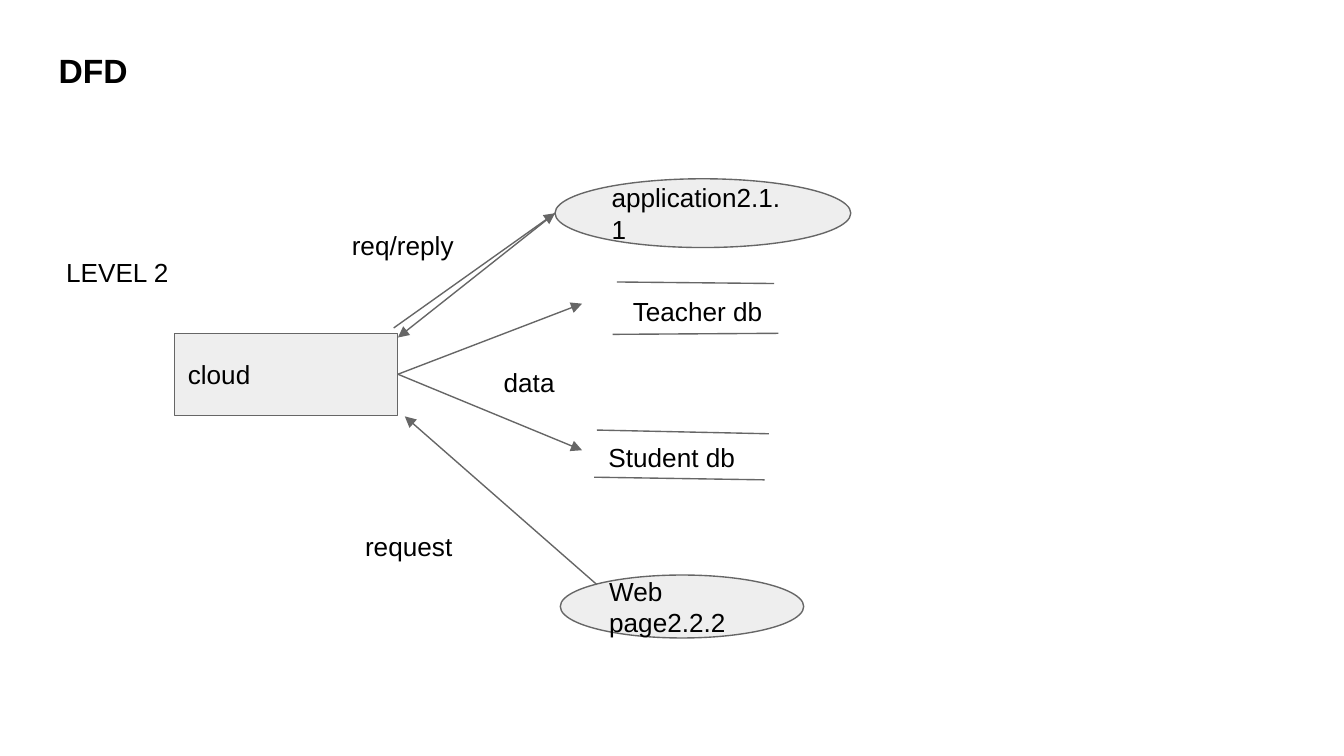
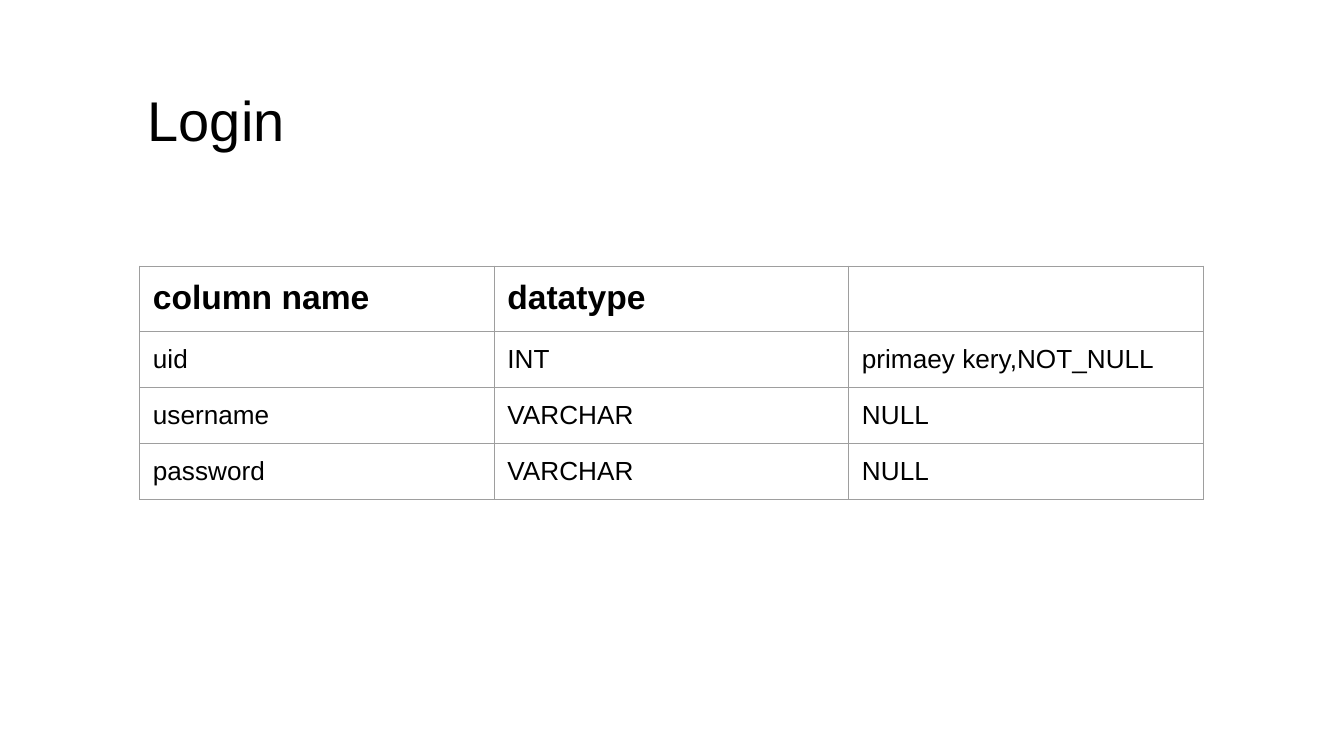
from lxml.etree import SubElement
from pptx import Presentation
from pptx.dml.color import RGBColor
from pptx.enum.shapes import MSO_CONNECTOR as CONNECTOR, MSO_SHAPE as SHAPE
from pptx.enum.text import MSO_ANCHOR as ANCHOR, MSO_AUTO_SIZE as AUTO_SIZE, PP_ALIGN as ALIGN
from pptx.oxml import parse_xml
from pptx.oxml.ns import nsdecls, qn
from pptx.util import Cm, Pt

COLORS = {"text": "000000", "node": "EEEEEE", "line": "666666", "grid": "9E9E9E"}
LINE_WIDTH = Pt(0.75)
INSET = Cm(0.25)
LABEL_HEIGHT = 0.58
TITLE_ONLY = 5

BODY_FONT = {"name": "Arial", "size": Pt(14), "bold": False}
HEADING_FONT = {**BODY_FONT, "size": Pt(18), "bold": True}
LARGE_TITLE_FONT = {**BODY_FONT, "size": Pt(30)}
MARGINS = dict.fromkeys(("margin_left", "margin_top", "margin_right", "margin_bottom"), INSET)
FRAME = {**MARGINS, "word_wrap": True, "auto_size": AUTO_SIZE.NONE}


def color(key):
    return RGBColor.from_string(COLORS[key])


def apply_format(target, values):
    for attribute, value in values.items():
        setattr(target, attribute, value)


def write(frame, text, font=BODY_FONT, anchor=ANCHOR.TOP):
    apply_format(frame, {**FRAME, "vertical_anchor": anchor})
    write_paragraph(frame, text, font)


def write_paragraph(frame, text, font):
    paragraph = frame.paragraphs[0]
    paragraph.text = text
    apply_format(paragraph, {"alignment": ALIGN.LEFT, "space_before": Pt(0)})
    apply_format(paragraph.font, font)
    paragraph.font.color.rgb = color("text")


def style_line(line):
    line.color.rgb = color("line")
    line.width = LINE_WIDTH


def add_titled_slide(prs, text, box, font):
    slide = prs.slides.add_slide(prs.slide_layouts[TITLE_ONLY])
    title = slide.shapes.title
    apply_format(title, dict(zip(("left", "top", "width", "height"), map(Cm, box))))
    write(title.text_frame, text, font)
    return slide


def add_node(slide, origin, kind, box, text):
    left, top, width, height = box
    node = slide.shapes.add_shape(
        kind, Cm(origin[0] + left), Cm(origin[1] + top), Cm(width), Cm(height))
    node.shadow.inherit = False
    node.fill.solid()
    node.fill.fore_color.rgb = color("node")
    style_line(node.line)
    write(node.text_frame, text, anchor=ANCHOR.MIDDLE)


def add_label(slide, origin, left, top, width, text):
    label = slide.shapes.add_textbox(
        Cm(origin[0] + left), Cm(origin[1] + top), Cm(width), Cm(LABEL_HEIGHT))
    write(label.text_frame, text)


def add_line(slide, origin, start, end, arrow=False):
    x, y = origin
    connector = slide.shapes.add_connector(
        CONNECTOR.STRAIGHT, Cm(x + start[0]), Cm(y + start[1]), Cm(x + end[0]), Cm(y + end[1]))
    style_line(connector.line)
    properties = connector._element.spPr
    if arrow:
        SubElement(properties.find(qn("a:ln")), qn("a:tailEnd"), type="triangle")
    SubElement(properties, qn("a:effectLst"))


def add_data_flow(slide, origin):
    """Place the level 2 diagram with its top left corner at origin, in cm."""
    cloud = (2.3, 2.92, 4.22, 1.55)
    application = (9.49, 0, 5.59, 1.3)
    web_page = (9.59, 7.49, 4.6, 1.19)
    cloud_right = (cloud[0] + cloud[2], cloud[1] + cloud[3] / 2)
    application_left = (application[0], application[3] / 2)

    for kind, box, text in (
        (SHAPE.RECTANGLE, cloud, "cloud"),
        (SHAPE.OVAL, web_page, "Web page2.2.2"),
        (SHAPE.OVAL, application, "application2.1.1"),
    ):
        add_node(slide, origin, kind, box, text)

    store_rules = (
        ((10.66, 1.95), (13.63, 1.98)),
        ((10.58, 2.94), (13.71, 2.92)),
        ((10.28, 4.75), (13.53, 4.82)),
        ((10.23, 5.64), (13.45, 5.69)),
    )
    for start, end in store_rules:
        add_line(slide, origin, start, end)

    flows = (
        (cloud_right, (10, 2.36)),
        (cloud_right, (10, 5.13)),
        ((6.44, 2.82), application_left),
        (application_left, (6.52, 3)),
        ((10.28, 7.67), (6.65, 4.49)),
    )
    for start, end in flows:
        add_line(slide, origin, start, end, arrow=True)

    for label in (
        (0, 1.22, 3.2, "LEVEL 2"),
        (5.4, 0.71, 2.59, "req/reply"),
        (8.27, 3.3, 1.96, "data"),
        (5.65, 6.4, 2.59, "request"),
        (10.71, 1.95, 3.78, "Teacher db"),
        (10.25, 4.72, 3.78, "Student db"),
    ):
        add_label(slide, origin, *label)


def add_cell_borders(cell):
    properties = cell._tc.get_or_add_tcPr()
    for position, side in enumerate(("lnL", "lnR", "lnT", "lnB")):
        properties.insert(position, parse_xml(
            f'<a:{side} {nsdecls("a")} w="{LINE_WIDTH}"><a:solidFill>'
            f'<a:srgbClr val="{COLORS["grid"]}"/></a:solidFill></a:{side}>'))


def add_schema_table(slide, left, top, column_width, rows):
    heights = [1.23] + [1.06] * (len(rows) - 1)
    columns = len(rows[0])
    table = slide.shapes.add_table(
        len(rows), columns, Cm(left), Cm(top),
        Cm(column_width * columns), Cm(sum(heights))).table
    apply_format(table, {"first_row": False, "horz_banding": False})
    for column in table.columns:
        column.width = Cm(column_width)
    for index, (row, height, values) in enumerate(zip(table.rows, heights, rows)):
        row.height = Cm(height)
        for cell, text in zip(row.cells, values):
            apply_format(cell, MARGINS)
            cell.fill.background()
            write_paragraph(cell.text_frame, text, BODY_FONT if index else HEADING_FONT)
            add_cell_borders(cell)


def main():
    prs = Presentation()
    prs.slide_width, prs.slide_height = Cm(25.4), Cm(14.29)

    dfd = add_titled_slide(prs, "DFD", (0.86, 0.69, 5.79, 1.04), HEADING_FONT)
    add_data_flow(dfd, (1, 3.38))

    login = add_titled_slide(prs, "Login", (2.54, 1.37, 20.32, 2.36), LARGE_TITLE_FONT)
    add_schema_table(login, 2.64, 5.03, 6.7, (
        ("column name", "datatype", ""),
        ("uid", "INT", "primaey kery,NOT_NULL"),
        ("username", "VARCHAR", "NULL"),
        ("password", "VARCHAR", "NULL"),
    ))
    prs.save("out.pptx")


if __name__ == "__main__":
    main()
